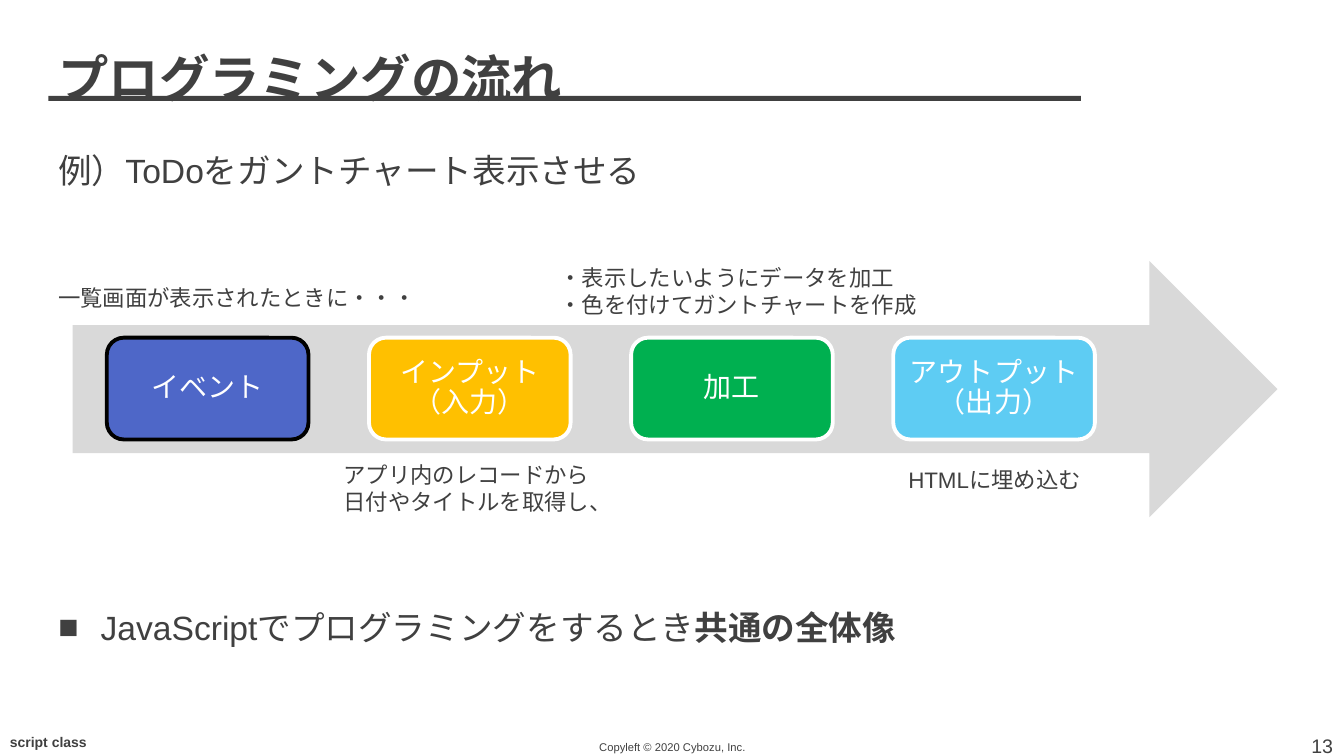
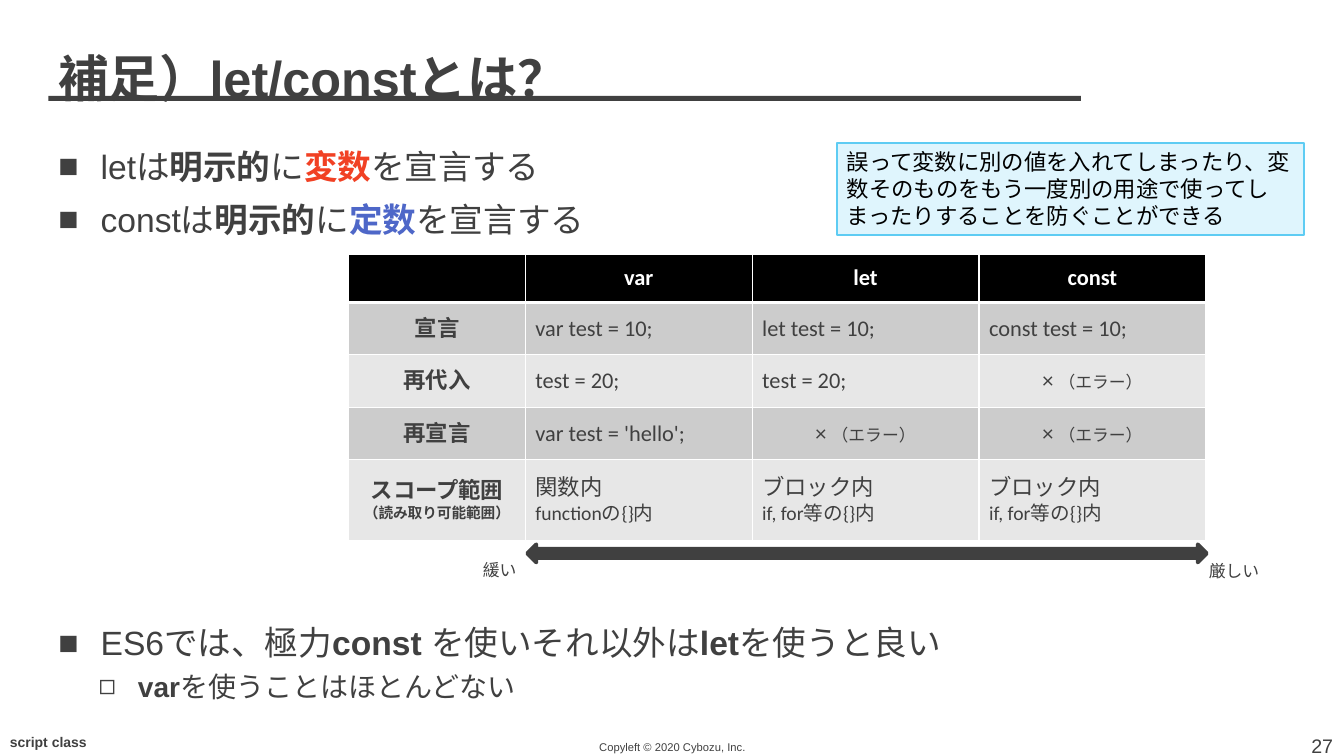
from lxml.etree import SubElement
from pptx import Presentation
from pptx.dml.color import RGBColor
from pptx.enum.shapes import MSO_SHAPE
from pptx.enum.text import MSO_ANCHOR, PP_ALIGN
from pptx.oxml.ns import qn
from pptx.util import Inches, Pt

COLORS = {
    "ink": "404040", "white": "FFFFFF", "black": "000000", "red": "F14124",
    "blue": "4E67C8", "amber": "FFC000", "green": "00B050", "sky": "5ECCF3",
    "pale sky": "DFF5FD", "arrow": "D9D9D9", "odd row": "CCCCCC", "even row": "E7E7E7",
}
BULLETS = {0: ("■", 0.42, -0.42), 1: ("◻", 0.79, -0.39)}
BOLD = {"bold": True}


def rgb(name):
    return RGBColor.from_string(COLORS[name])


def add_bullet(paragraph, level):
    symbol, margin, indent = BULLETS[level]
    props = paragraph._p.get_or_add_pPr()
    props.set("marL", str(Inches(margin)))
    props.set("indent", str(Inches(indent)))
    SubElement(props, qn("a:buFont"), typeface="Arial")
    SubElement(props, qn("a:buChar"), char=symbol)


def write(frame, paragraphs, size=16, color="ink", bold=False, font="Arial",
          align=PP_ALIGN.LEFT, anchor=MSO_ANCHOR.TOP, spacing=None, wrap=True,
          levels=None, before=(0, 0)):
    """Fill a frame; a paragraph is a string or a list of strings and (text, format) pairs."""
    frame.word_wrap = wrap
    frame.vertical_anchor = anchor
    for index, content in enumerate(paragraphs):
        paragraph = frame.paragraphs[0] if index == 0 else frame.add_paragraph()
        paragraph.alignment = align
        if spacing:
            paragraph.line_spacing = spacing
        if levels:
            paragraph.space_after = Pt(2)
            if index:
                paragraph.space_before = Pt(before[levels[index]])
            add_bullet(paragraph, levels[index])
        for part in [content] if isinstance(content, str) else content:
            text, special = (part, {}) if isinstance(part, str) else part
            run = paragraph.add_run()
            run.text = text
            run.font.size = Pt(special.get("size", size))
            run.font.bold = special.get("bold", bold)
            run.font.color.rgb = rgb(special.get("color", color))
            run.font.name = font
            SubElement(run._r.get_or_add_rPr(), qn("a:ea"), typeface=font)


def set_border(cell, edge, width):
    line = SubElement(cell._tc.get_or_add_tcPr(), qn("a:" + edge), w=str(Pt(width)))
    fill = SubElement(line, qn("a:solidFill"))
    SubElement(fill, qn("a:srgbClr"), val=COLORS["white"])


class Deck:
    def __init__(self):
        self.presentation = Presentation()
        self.presentation.slide_width = Inches(13.33)
        self.presentation.slide_height = Inches(7.5)
        self.slide = None

    def start(self, title, number):
        """Add a slide with the shared title, rule and footer."""
        self.slide = self.presentation.slides.add_slide(self.presentation.slide_layouts[6])
        self.text((0, 7.23, 1.81, 0.27), ["script class"], size=10, bold=True)
        self.shape(MSO_SHAPE.RECTANGLE, (0.48, 0.95, 10.24, 0.05), "ink")
        self.text((4.42, 7.32, 4.5, 0.18), ["Copyleft © 2020 Cybozu, Inc."], size=8,
                  align=PP_ALIGN.CENTER, anchor=MSO_ANCHOR.MIDDLE)
        self.text((0.48, 0.39, 12.57, 0.75), [title], size=36, bold=True,
                  anchor=MSO_ANCHOR.MIDDLE)
        self.text((11.57, 7.23, 1.75, 0.27), [str(number)], size=14, align=PP_ALIGN.RIGHT)

    def text(self, place, paragraphs, **style):
        box = self.slide.shapes.add_textbox(*map(Inches, place))
        write(box.text_frame, paragraphs, **style)

    def bullets(self, place, paragraphs, levels, **style):
        self.text(place, paragraphs, levels=levels, before=(10, 5), size=24, **style)

    def shape(self, preset, place, fill, line=None, width=1, paragraphs=(), **style):
        shape = self.slide.shapes.add_shape(preset, *map(Inches, place))
        shape.shadow.inherit = False
        shape.fill.solid()
        shape.fill.fore_color.rgb = rgb(fill)
        if line:
            shape.line.color.rgb = rgb(line)
            shape.line.width = Pt(width)
        else:
            shape.line.fill.background()
        if paragraphs:
            write(shape.text_frame, paragraphs, **style)

    def table(self, place, widths, heights, rows):
        table = self.slide.shapes.add_table(len(rows), len(widths), *map(Inches, place)).table
        for column, width in zip(table.columns, widths):
            column.width = Inches(width)
        for row, height in zip(table.rows, heights):
            row.height = Inches(height)
        for r, row in enumerate(rows):
            for c, paragraphs in enumerate(row):
                cell = table.cell(r, c)
                heading = r == 0 or c == 0
                centered = heading or paragraphs == ERROR
                write(cell.text_frame, paragraphs, font="Calibri", bold=heading,
                      color="ink" if r else "white",
                      align=PP_ALIGN.CENTER if centered else PP_ALIGN.LEFT)
                cell.vertical_anchor = MSO_ANCHOR.MIDDLE
                for edge in ("lnL", "lnR", "lnT", "lnB"):
                    thick = (r, edge) in ((0, "lnB"), (1, "lnT"))
                    set_border(cell, edge, 3 if thick else 1)
                cell.fill.solid()
                cell.fill.fore_color.rgb = rgb(
                    "black" if r == 0 else "odd row" if r % 2 else "even row")


ERROR = [["× ", ("（エラー）", {"size": 12})]]


def scope(area, detail):
    return [area, [(detail, {"size": 14})]]


def flow_slide(deck):
    deck.start("プログラミングの流れ", 13)
    deck.text((0.48, 1.44, 12.57, 0.6), ["例）ToDoをガントチャート表示させる"], size=24)

    # Process arrow with its four steps
    deck.shape(MSO_SHAPE.RIGHT_ARROW, (0.72, 2.59, 11.95, 2.54), "arrow")
    steps = [
        (["イベント"], "blue", "black"),
        (["インプット", "（入力）"], "amber", "white"),
        (["加工"], "green", "white"),
        (["アウトプット", "（出力）"], "sky", "white"),
    ]
    for index, (label, fill, outline) in enumerate(steps):
        deck.shape(MSO_SHAPE.ROUNDED_RECTANGLE, (1.06 + 2.6 * index, 3.35, 2, 1.01),
                   fill, outline, 2.75, label, size=20, color="white", font="Calibri",
                   align=PP_ALIGN.CENTER, anchor=MSO_ANCHOR.MIDDLE, spacing=0.9)

    # Remarks above and below the steps
    remarks = [
        ((0.48, 2.77, 3.94, 0.37), ["一覧画面が表示されたときに・・・"]),
        ((8.91, 4.58, 1.98, 0.37), ["HTMLに埋め込む"]),
        ((3.31, 4.53, 3.02, 0.64), ["アプリ内のレコードから", "日付やタイトルを取得し、"]),
        ((5.45, 2.57, 4.25, 0.64),
         ["・表示したいようにデータを加工", "・色を付けてガントチャートを作成"]),
    ]
    for place, remark in remarks:
        deck.text(place, remark)

    # Summary
    deck.bullets((0.48, 5.97, 12.57, 0.6),
                 [["JavaScriptでプログラミングをするとき", ("共通の全体像", BOLD)]], [0])


def let_const_slide(deck):
    deck.start("補足）let/constとは？", 27)

    # Definitions and their benefit
    definitions = [
        [keyword + "は", ("明示的", BOLD), "に", (kind, {"bold": True, "color": color}),
         "を宣言する"]
        for keyword, kind, color in (("let", "変数", "red"), ("const", "定数", "blue"))
    ]
    deck.bullets((0.48, 1.44, 7.6, 1.05), definitions, [0, 0], spacing=0.9)
    deck.shape(MSO_SHAPE.RECTANGLE, (8.3, 1.42, 4.63, 0.91), "pale sky", "sky", 1.5,
               ["誤って変数に別の値を入れてしまったり、変数そのものをもう一度別の用途で"
                "使ってしまったりすることを防ぐことができる"], color="black")

    # Comparison table
    block_scope = scope("ブロック内", "if, for等の{}内")
    deck.table((3.46, 2.52, 8.5, 2.84), [1.75] + [2.25] * 3, [0.48] + [0.52] * 3 + [0.8], [
        [[], ["var"], ["let"], ["const"]],
        [["宣言"], ["var test = 10;"], ["let test = 10;"], ["const test = 10;"]],
        [["再代入"], ["test = 20;"], ["test = 20;"], ERROR],
        [["再宣言"], ["var test = 'hello';"], ERROR, ERROR],
        [["スコープ範囲", [("（読み取り可能範囲）", {"size": 10.5})]],
         scope("関数内", "functionの{}内"), block_scope, block_scope],
    ])

    # Strictness scale
    deck.shape(MSO_SHAPE.LEFT_RIGHT_ARROW, (5.23, 5.4, 6.74, 0.18), "ink", "ink", 2.75)
    deck.text((11.89, 5.51, 0.71, 0.3), ["厳しい"], size=12, wrap=False)
    deck.text((4.69, 5.5, 0.54, 0.3), ["緩い"], size=12, wrap=False)

    # Recommendation
    deck.bullets((0.48, 6.17, 12.57, 1), [
        ["ES6では、極力", ("const ", BOLD), "を使いそれ以外は", ("let", BOLD), "を使うと良い"],
        [("var", {"size": 20, "bold": True}), ("を使うことはほとんどない", {"size": 20})],
    ], [0, 1], spacing=0.9)


def main():
    deck = Deck()
    flow_slide(deck)
    let_const_slide(deck)
    deck.presentation.save("out.pptx")


if __name__ == "__main__":
    main()
